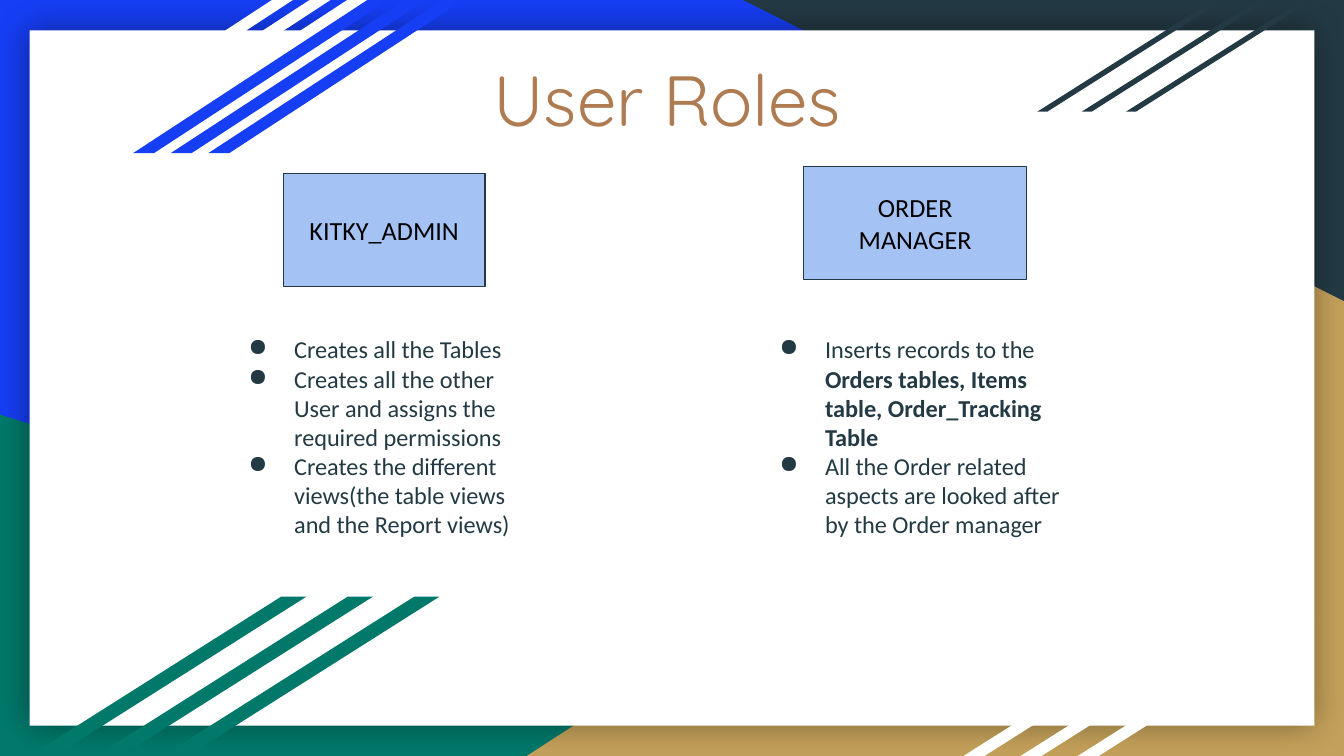
from dataclasses import dataclass

from lxml.etree import SubElement
from pptx import Presentation
from pptx.dml.color import RGBColor
from pptx.enum.shapes import MSO_SHAPE as Shape
from pptx.enum.text import MSO_ANCHOR as Anchor, MSO_AUTO_SIZE as AutoSize, PP_ALIGN as Align
from pptx.oxml.ns import qn
from pptx.util import Emu, Pt

PX = 4572


@dataclass(frozen=True)
class Theme:
    """Colours, fonts and type sizes of the deck."""
    blue: str = "163EF5"
    green: str = "00796B"
    gold: str = "C4A15A"
    navy: str = "233A44"
    white: str = "FFFFFF"
    black: str = "000000"
    bronze: str = "AF7B51"
    sky: str = "A4C2F4"
    heading: str = "Quicksand"
    body: str = "Calibri"
    title_size: int = 38
    card_size: int = 14
    list_size: int = 13


THEME = Theme()


def px(value):
    """Turn px into EMU."""
    return Emu(round(value * PX))


def add_box(shapes, kind, box, fill):
    """Add a flat, unlined preset shape."""
    shape = shapes.add_shape(kind, *map(px, box))
    shape.shadow.inherit = False
    shape.fill.solid()
    shape.fill.fore_color.rgb = RGBColor.from_string(fill)
    shape.line.fill.background()
    return shape


def style_span(span, font, size, color, bold=False):
    """Format one run."""
    span.font.name = font
    span.font.size = Pt(size)
    span.font.bold = bold
    span.font.color.rgb = RGBColor.from_string(color)


def set_frame(frame, anchor):
    """Give a text frame wrapping, even insets and an anchor."""
    frame.word_wrap = True
    frame.auto_size = AutoSize.NONE
    frame.vertical_anchor = anchor
    frame.margin_left = frame.margin_right = px(20)
    frame.margin_top = frame.margin_bottom = px(20)


def center_text(frame, text, font, size, color):
    """Fill a frame with centred lines of one style."""
    set_frame(frame, Anchor.MIDDLE)
    frame.text = text
    for para in frame.paragraphs:
        para.alignment = Align.CENTER
        for span in para.runs:
            style_span(span, font, size, color)


def add_stripes(page, box, stripe_width, slant, color):
    """Spread three slanted stripes evenly across a box, right to left."""
    left, top, width, height = box
    gap = (width - stripe_width) / 2
    group = page.shapes.add_group_shape()
    for index in (2, 1, 0):
        place = (left + index * gap, top, stripe_width, height)
        stripe = add_box(group.shapes, Shape.PARALLELOGRAM, place, color)
        stripe.adjustments[0] = slant


def add_panel(page, box):
    """Add the white panel with its soft shadow."""
    panel = add_box(page.shapes, Shape.RECTANGLE, box, THEME.white)
    effects = panel.element.spPr.find(qn("a:effectLst"))
    shadow = SubElement(effects, qn("a:outerShdw"), blurRad=str(Pt(18)), dist="0",
                        dir="0", algn="ctr", rotWithShape="0")
    color = SubElement(shadow, qn("a:srgbClr"), val=THEME.black)
    SubElement(color, qn("a:alpha"), val="40000")


def add_backdrop(page, box):
    """Paint the corner triangles, panel and stripes inside the page box."""
    left, top, width, height = box
    right, bottom = left + width, top + height
    page.background.fill.solid()
    page.background.fill.fore_color.rgb = RGBColor.from_string(THEME.blue)
    triangle = Shape.RIGHT_TRIANGLE
    add_box(page.shapes, triangle, (left, bottom - 508, 1612, 508), THEME.green)
    gold = add_box(page.shapes, triangle, (right - 1216, bottom - 786, 1216, 786), THEME.gold)
    gold.element.spPr.find(qn("a:xfrm")).set("flipH", "1")
    navy = add_box(page.shapes, triangle, (right - 894, top, 894, 448), THEME.navy)
    navy.rotation = 180
    add_panel(page, (left + 44, top + 45, width - 88, height - 90))
    add_stripes(page, (left + 56, top, 492, 228), 380, 1.53, THEME.white)
    add_stripes(page, (left + 198, top, 492, 228), 380, 1.53, THEME.blue)
    add_stripes(page, (right - 456, top + 2, 406, 164), 274, 1.58, THEME.navy)
    add_stripes(page, (right - 566, bottom - 203, 522, 203), 352, 1.58, THEME.white)
    add_stripes(page, (left + 44, bottom - 237, 610, 237), 412, 1.58, THEME.green)


def add_title(page, box, text):
    """Place the title in front of the backdrop."""
    title = page.shapes.title
    title.left, title.top, title.width, title.height = map(px, box)
    title.element.getparent().append(title.element)
    center_text(title.text_frame, text, THEME.heading, THEME.title_size, THEME.bronze)


def add_role_card(page, box, label):
    """Add the card that names a role."""
    card = add_box(page.shapes, Shape.RECTANGLE, box, THEME.sky)
    card.line.color.rgb = RGBColor.from_string(THEME.navy)
    card.line.width = Pt(0.75)
    center_text(card.text_frame, label, THEME.body, THEME.card_size, THEME.black)


def add_bullet(para):
    """Give a paragraph a hanging round bullet."""
    props = para._p.get_or_add_pPr()
    props.set("marL", str(px(100)))
    props.set("indent", str(px(-68)))
    color = SubElement(props, qn("a:buClr"))
    SubElement(color, qn("a:srgbClr"), val=THEME.navy)
    SubElement(props, qn("a:buChar"), char="●")


def add_duties(page, box, duties):
    """List duties, each a tuple of plain and bold parts in turn."""
    frame = page.shapes.add_textbox(*map(px, box)).text_frame
    set_frame(frame, Anchor.TOP)
    for index, parts in enumerate(duties):
        para = frame.add_paragraph() if index else frame.paragraphs[0]
        add_bullet(para)
        for order, part in enumerate(parts):
            span = para.add_run()
            span.text = part
            style_span(span, THEME.body, THEME.list_size, THEME.navy, bold=order % 2 == 1)


def main():
    """Build and save the deck."""
    deck = Presentation()
    deck.slide_width, deck.slide_height = px(2000), px(1125)
    page = deck.slides.add_slide(deck.slide_layouts[5])
    add_backdrop(page, (0, 0, 2000, 1125))
    add_title(page, (460, 42, 1066, 208), "User Roles")
    add_role_card(page, (422, 258, 300, 168), "KITKY_ADMIN")
    add_role_card(page, (1196, 248, 332, 168), "ORDER\nMANAGER")
    add_duties(page, (318, 478, 510, 272), [
        ("Creates all the Tables",),
        ("Creates all the other User and assigns the required permissions",),
        ("Creates the different views(the table views and the Report views)",),
    ])
    add_duties(page, (1108, 478, 510, 350), [
        ("Inserts records to the ", "Orders tables, Items table, Order_Tracking Table"),
        ("All the Order related aspects are looked after by the Order manager",),
    ])
    deck.save("out.pptx")


if __name__ == "__main__":
    main()
